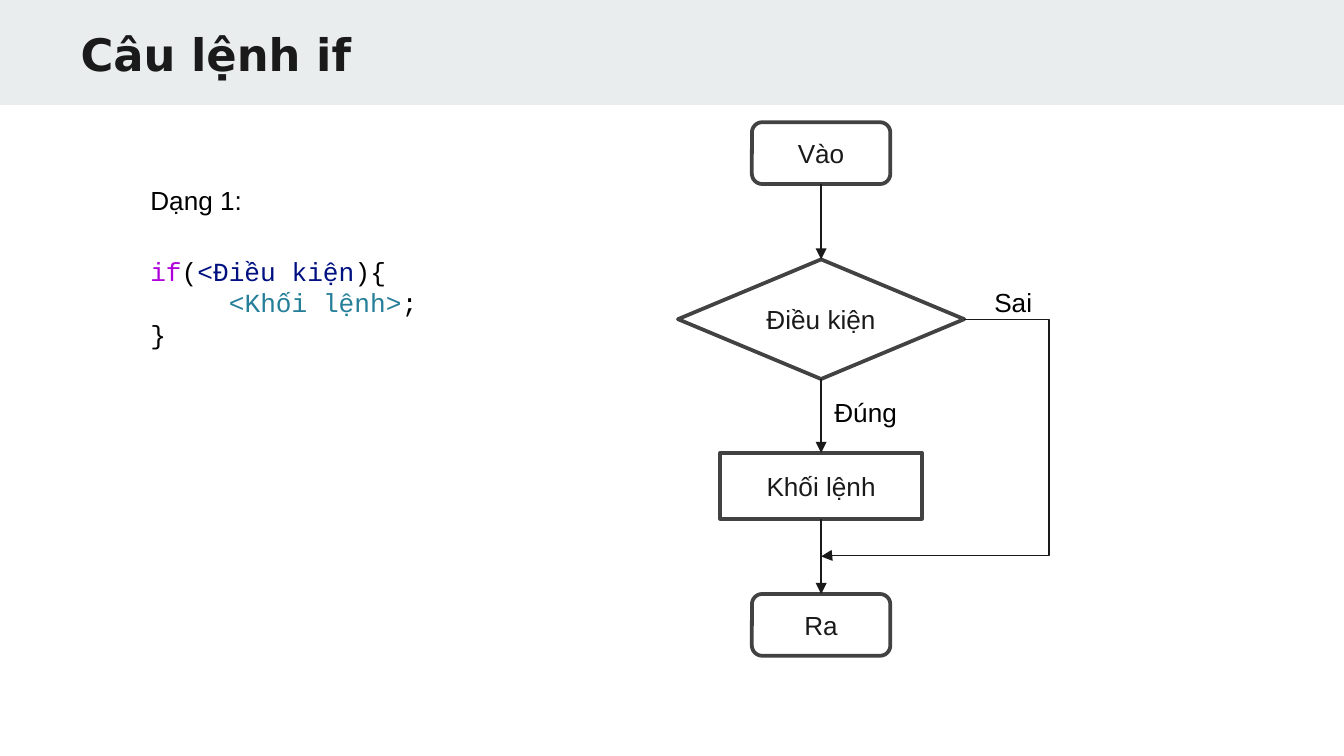
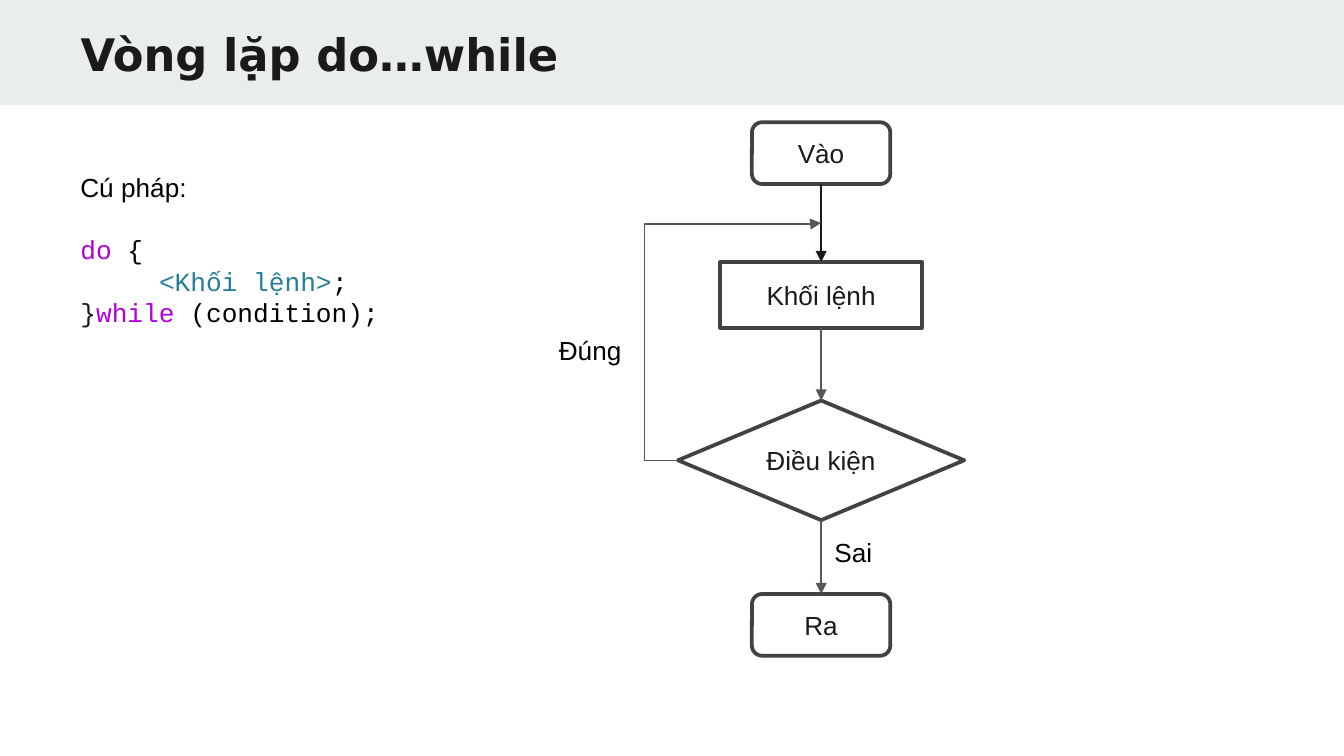
"""Builds two slides that explain if and do…while with flowcharts."""
from lxml import etree
from pptx import Presentation
from pptx.dml.color import RGBColor
from pptx.enum.shapes import MSO_CONNECTOR, MSO_SHAPE
from pptx.enum.text import MSO_ANCHOR, MSO_AUTO_SIZE, PP_ALIGN
from pptx.oxml.ns import qn
from pptx.util import Inches, Pt

ROUND, DIAMOND, RECT = MSO_SHAPE.ROUNDED_RECTANGLE, MSO_SHAPE.DIAMOND, MSO_SHAPE.RECTANGLE
STRAIGHT, ELBOW = MSO_CONNECTOR.STRAIGHT, MSO_CONNECTOR.ELBOW
TOP, LEFT, BOTTOM, RIGHT = range(4)

WIDTH = 10
HEIGHT = WIDTH * 9 / 16
BAND_HEIGHT = 0.78
CENTER = 6.11
BLACK, INK, GREY, OUTLINE, BAND = "000000", "1A1A1A", "575757", "424242", "E9EDEE"
KEYWORD, VARIABLE, TYPE = "AF00DB", "001080", "267F99"
SANS, MONO, TITLE_FONT = "Arial", "Courier New", "DejaVu Sans"

NODES = {
    "Vào": (ROUND, 1.03, 0.46),
    "Điều kiện": (DIAMOND, 2.13, 0.89),
    "Khối lệnh": (RECT, 1.5, 0.49),
    "Ra": (ROUND, 1.03, 0.46),
}
SLIDES = [
    {
        "title": "Câu lệnh if",
        "heading": ("Dạng 1:", 1.02, 1.32, 1.45),
        "code_at": (1.02, 1.85, 5, 0.81),
        "code": [
            [("if", KEYWORD), ("(", BLACK), ("<Điều kiện", VARIABLE), ("){", BLACK)],
            [("     ", BLACK), ("<Khối lệnh>", TYPE), (";", BLACK)],
            [("}", BLACK)],
        ],
        "flow": [("Vào", 0.91), ("Điều kiện", 1.93), ("Khối lệnh", 3.37), ("Ra", 4.42)],
        "arrows": [INK, INK, INK],
        "detour": {"side": RIGHT, "reach": 0.63, "joins": 2, "color": INK},
        "labels": [("Đúng", 6.11, 2.9), ("Sai", 7.3, 2.08)],
    },
    {
        "title": "Vòng lặp do…while",
        "heading": ("Cú pháp:", 0.5, 1.23, 2.06),
        "code_at": (0.5, 1.69, 5, 1.04),
        "code": [
            [("do", KEYWORD), (" {", BLACK)],
            [("     ", BLACK), ("<Khối lệnh>", TYPE), (";", BLACK)],
            [("}", INK), ("while", KEYWORD), (" (condition);", BLACK)],
        ],
        "flow": [("Vào", 0.91), ("Khối lệnh", 1.95), ("Điều kiện", 2.98), ("Ra", 4.42)],
        "arrows": [INK, GREY, GREY],
        "detour": {"side": LEFT, "reach": 0.25, "joins": 0, "color": GREY},
        "labels": [("Đúng", 4.06, 2.44), ("Sai", 6.11, 3.94)],
    },
]


def rgb(value):
    return RGBColor.from_string(value)


def set_font(p, name, size, color, bold=False):
    p.font.name, p.font.size, p.font.bold = name, Pt(size), bold
    p.font.color.rgb = rgb(color)


def add_band(slide):
    sp = slide.shapes.add_shape(RECT, 0, 0, Inches(WIDTH), Inches(BAND_HEIGHT))
    sp.shadow.inherit = False
    sp.fill.solid()
    sp.fill.fore_color.rgb = rgb(BAND)
    sp.line.fill.background()
    slide.slide_layout.shapes.element.insert(2, sp.element)


def add_title(slide, text):
    sp = slide.shapes.title
    sp.left, sp.top, sp.width, sp.height = map(Inches, (0.5, 0.1, 8.63, 0.73))
    tf = sp.text_frame
    tf.margin_left = tf.margin_right = tf.margin_top = tf.margin_bottom = Inches(0.1)
    tf.vertical_anchor, tf.auto_size = MSO_ANCHOR.TOP, MSO_AUTO_SIZE.NONE
    tf.text = text
    p = tf.paragraphs[0]
    p.alignment = PP_ALIGN.LEFT
    set_font(p, TITLE_FONT, 24, INK, True)


def add_text(slide, lines, x, y, w, h=0.34, font=SANS):
    tf = slide.shapes.add_textbox(*map(Inches, (x, y, w, h))).text_frame
    tf.word_wrap, tf.auto_size = True, MSO_AUTO_SIZE.SHAPE_TO_FIT_TEXT
    for i, runs in enumerate(lines):
        p = tf.add_paragraph() if i else tf.paragraphs[0]
        set_font(p, font, 14, BLACK)
        for text, color in runs:
            r = p.add_run()
            r.text = text
            r.font.color.rgb = rgb(color)


def add_node(slide, text, y):
    kind, w, h = NODES[text]
    sp = slide.shapes.add_shape(kind, *map(Inches, (CENTER - w / 2, y, w, h)))
    sp.shadow.inherit = False
    sp.fill.background()
    sp.line.color.rgb, sp.line.width = rgb(OUTLINE), Pt(2)
    tf = sp.text_frame
    tf.text, tf.vertical_anchor = text, MSO_ANCHOR.MIDDLE
    p = tf.paragraphs[0]
    p.alignment = PP_ALIGN.CENTER
    set_font(p, SANS, 14, INK)
    return sp


def add_arrow(slide, kind, color, start=(0, 0), end=(0, 0)):
    line = slide.shapes.add_connector(kind, *map(int, (*start, *end)))
    line.line.color.rgb, line.line.width = rgb(color), Pt(0.75)
    sppr = line.element.spPr
    etree.SubElement(sppr.find(qn("a:ln")), qn("a:tailEnd"), type="triangle")
    etree.SubElement(sppr, qn("a:effectLst"))
    return line


def add_detour(slide, nodes, side, reach, joins, color):
    sp = next(n for n in nodes if n.text_frame.text == "Điều kiện")
    above, below = nodes[joins:joins + 2]
    start = (sp.left + (sp.width if side == RIGHT else 0), sp.top + sp.height / 2)
    end = (Inches(CENTER), (above.top + above.height + below.top) / 2)
    line = add_arrow(slide, ELBOW, color, start, end)
    geom = line.element.spPr.find(qn("a:prstGeom"))
    geom.set("prst", "bentConnector4")
    guides = geom.find(qn("a:avLst"))
    bends = (-Inches(reach) / line.width, 0.996)
    for i, share in enumerate(bends, 1):
        etree.SubElement(guides, qn("a:gd"), name=f"adj{i}", fmla=f"val {round(share * 100000)}")


def add_flowchart(slide, data):
    nodes = [add_node(slide, text, y) for text, y in data["flow"]]
    for above, below, color in zip(nodes, nodes[1:], data["arrows"]):
        line = add_arrow(slide, STRAIGHT, color)
        line.begin_connect(above, BOTTOM)
        line.end_connect(below, TOP)
    add_detour(slide, nodes, **data["detour"])
    for text, x, y in data["labels"]:
        add_text(slide, [[(text, BLACK)]], x, y, 0.76)


def main():
    prs = Presentation()
    prs.slide_width, prs.slide_height = Inches(WIDTH), Inches(HEIGHT)
    layout = prs.slide_layouts[5]
    for i, data in enumerate(SLIDES):
        slide = prs.slides.add_slide(layout)
        if i == 0:
            add_band(slide)
        add_title(slide, data["title"])
        heading, *place = data["heading"]
        add_text(slide, [[(heading, BLACK)]], *place)
        add_text(slide, data["code"], *data["code_at"], font=MONO)
        add_flowchart(slide, data)
    prs.save("out.pptx")


if __name__ == "__main__":
    main()
